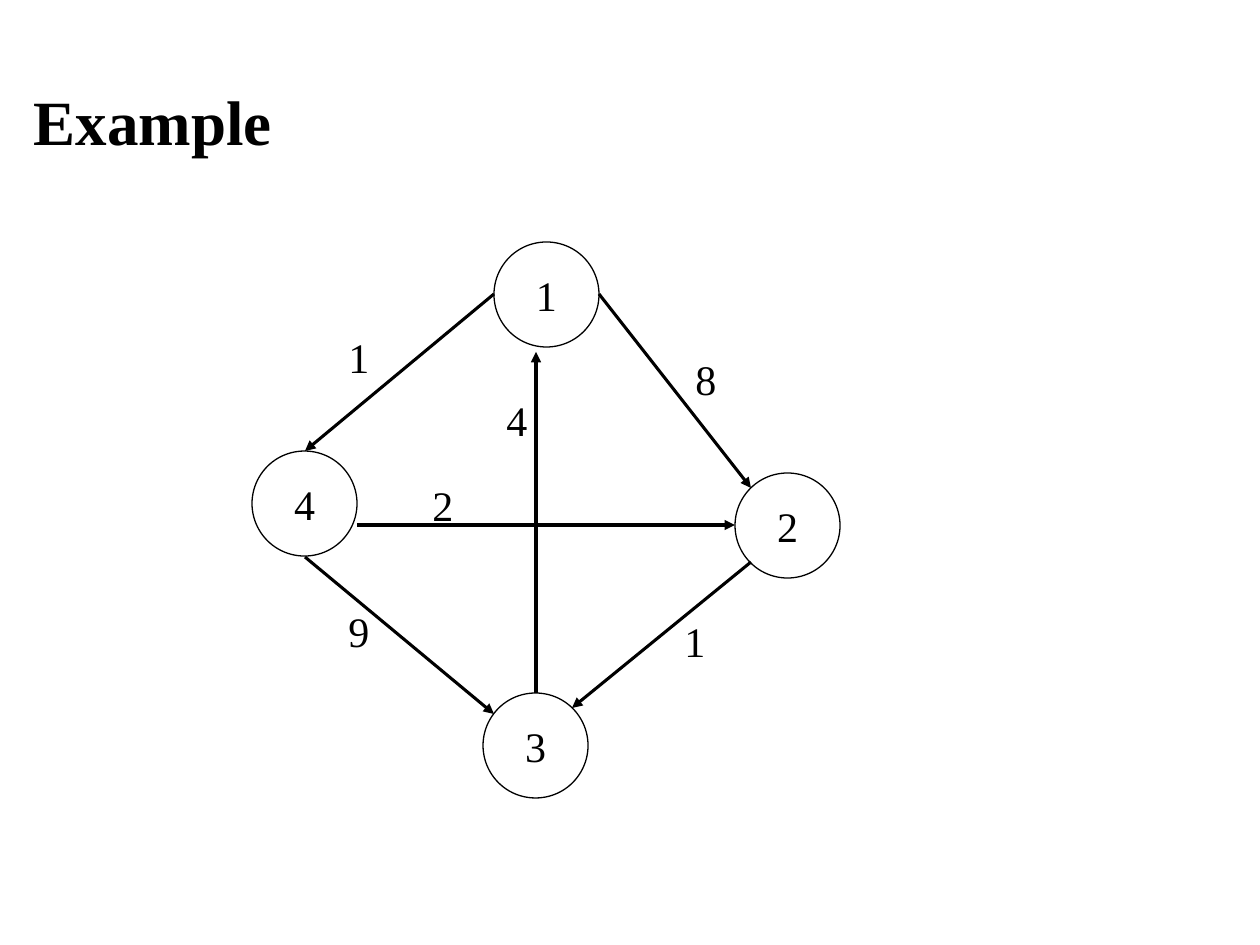
from pptx import Presentation
from pptx.dml.color import RGBColor
from pptx.enum.shapes import MSO_CONNECTOR, MSO_SHAPE
from pptx.enum.text import MSO_ANCHOR, PP_ALIGN
from pptx.oxml.ns import qn
from pptx.util import Inches, Pt
from lxml.etree import SubElement

BLACK = RGBColor(0x00, 0x00, 0x00)
WHITE = RGBColor(0xFF, 0xFF, 0xFF)
FONT = "Times New Roman"
NODE = 105  # circle diameter
LABEL = 63  # side of a weight label


def px(*sizes):
    return [Inches(size / 126) for size in sizes]


class Graph:
    def __init__(self, slide):
        self.slide = slide

    def text(self, frame, words, size, align=PP_ALIGN.LEFT, bold=False):
        frame.text = words
        para = frame.paragraphs[0]
        para.alignment = align
        font = para.font
        font.name, font.size, font.bold = FONT, Pt(size), bold
        font.color.rgb = BLACK

    def title(self, words, *box):
        shape = self.slide.shapes.title
        shape.left, shape.top, shape.width, shape.height = px(*box)
        shape.text_frame.vertical_anchor = MSO_ANCHOR.MIDDLE
        self.text(shape.text_frame, words, 36, bold=True)

    def node(self, name, x, y):
        shape = self.slide.shapes.add_shape(MSO_SHAPE.OVAL, *px(x, y, NODE, NODE))
        shape.shadow.inherit = False
        shape.fill.solid()
        shape.fill.fore_color.rgb = WHITE
        shape.line.color.rgb = BLACK
        shape.line.width = Pt(0.75)
        frame = shape.text_frame
        frame.word_wrap = False
        frame.vertical_anchor = MSO_ANCHOR.MIDDLE
        self.text(frame, name, 24, PP_ALIGN.CENTER)

    def arrow(self, *ends):
        edge = self.slide.shapes.add_connector(MSO_CONNECTOR.STRAIGHT, *px(*ends))
        edge.line.color.rgb = BLACK
        edge.line.width = Pt(1.75)
        line = edge._element.spPr.find(qn("a:ln"))
        SubElement(line, qn("a:tailEnd"), type="triangle")
        SubElement(edge._element.spPr, qn("a:effectLst"))

    def label(self, weight, x, y):
        box = self.slide.shapes.add_textbox(*px(x, y, LABEL, LABEL))
        box.text_frame.word_wrap = True
        self.text(box.text_frame, weight, 24)


def main():
    deck = Presentation()
    deck.slide_width, deck.slide_height = Inches(10), Inches(7.5)
    graph = Graph(deck.slides.add_slide(deck.slide_layouts[5]))
    graph.title("Example", 21, 42, 1187, 157)

    # Nodes: name, left, top
    for node in (("1", 494, 242), ("4", 252, 451),
                 ("3", 483, 693), ("2", 735, 473)):
        graph.node(*node)

    # Directed edges: start and end, then weight and its place
    edges = (
        ((599, 294, 751, 488), ("8", 683, 347)),
        ((494, 294, 305, 451), ("1", 336, 325)),
        ((751, 562, 572, 708), ("1", 672, 609)),
        ((305, 557, 494, 714), ("9", 336, 599)),
        ((357, 525, 735, 525), ("2", 420, 473)),
        ((536, 693, 536, 352), ("4", 494, 388)),
    )
    for ends, weight in edges:
        graph.arrow(*ends)
        graph.label(*weight)

    deck.save("out.pptx")


if __name__ == "__main__":
    main()
